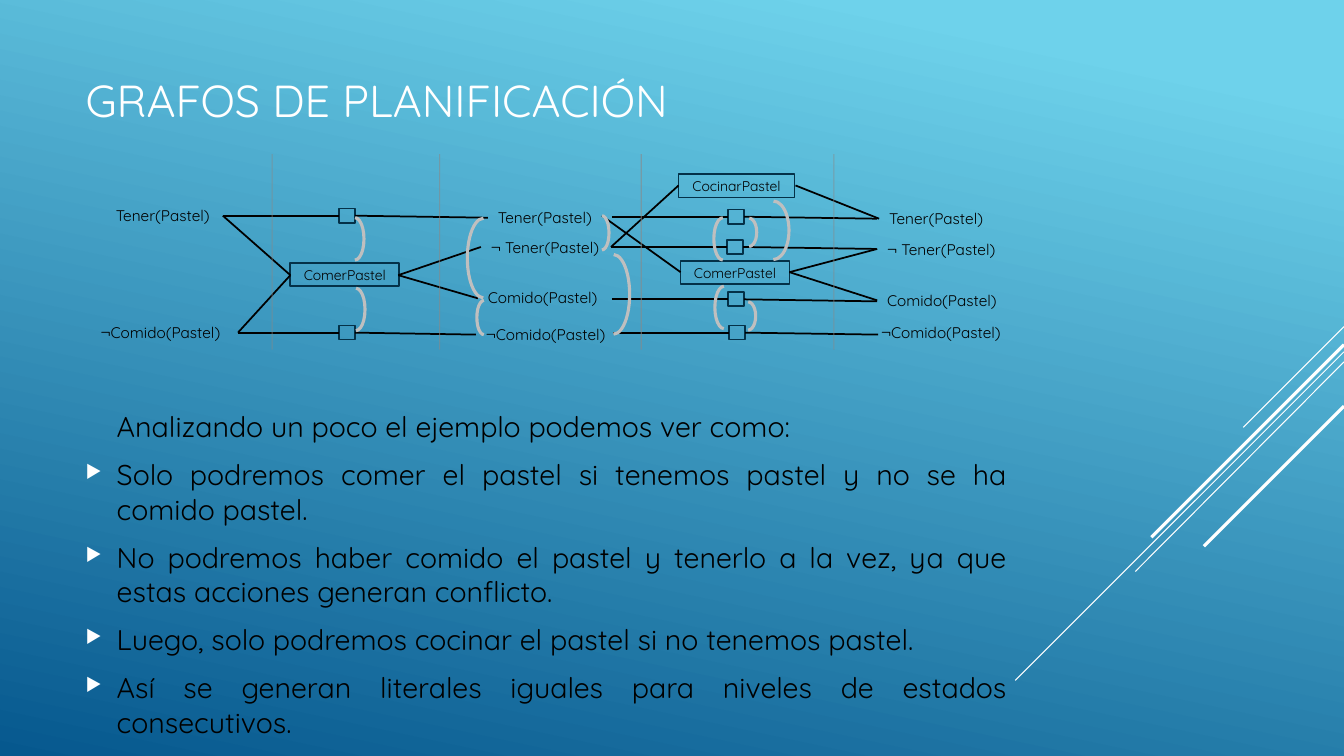
from dataclasses import dataclass

from lxml import etree
from pptx import Presentation
from pptx import util as u
from pptx.dml.color import RGBColor
from pptx.enum import shapes, text
from pptx.oxml import ns


@dataclass(frozen=True)
class Theme:
    font: str = "Quicksand"
    sky: str = "6ED2EB"
    ocean: str = "06588E"
    white: str = "FFFFFF"
    black: str = "000000"
    outline: str = "043148"
    bracket: str = "BFBFBF"
    divider: str = "898989"
    title_size: float = 32
    body_size: float = 20.4
    label_size: float = 11
    action_size: float = 10
    thin: float = 0.75
    medium: float = 1.25
    thick: float = 2.25


class PlanningSlide:
    columns = 13.33
    rows = 7.5

    def __init__(self, presentation, theme):
        self.theme = theme
        self.cell_width = presentation.slide_width / self.columns
        self.cell_height = presentation.slide_height / self.rows
        self.slide = presentation.slides.add_slide(presentation.slide_layouts[6])

    def across(self, count):
        return u.Emu(round(count * self.cell_width))

    def down(self, count):
        return u.Emu(round(count * self.cell_height))

    def area(self, left, top, width, height):
        return self.across(left), self.down(top), self.across(width), self.down(height)

    def background(self):
        fill = self.slide.background.fill
        fill.gradient()
        fill.gradient_angle = 258
        stops = ((0.1, self.theme.sky), (1, self.theme.ocean))
        for stop, (position, color) in zip(fill.gradient_stops, stops):
            stop.position = position
            stop.color.rgb = RGBColor.from_string(color)

    def run(self, paragraph, words, size, color):
        run = paragraph.add_run()
        run.text = words
        run.font.name = self.theme.font
        run.font.size = u.Pt(size)
        run.font.color.rgb = RGBColor.from_string(color)

    def title(self, words):
        frame = self.slide.shapes.add_textbox(*self.area(0.75, 0.16, 9.77, 1.65)).text_frame
        frame.word_wrap = True
        frame.vertical_anchor = text.MSO_ANCHOR.MIDDLE
        self.run(frame.paragraphs[0], words, self.theme.title_size, self.theme.white)

    def bullet(self, properties):
        color = etree.SubElement(properties, ns.qn("a:buClr"))
        etree.SubElement(color, ns.qn("a:srgbClr")).set("val", self.theme.white)
        etree.SubElement(properties, ns.qn("a:buSzPct")).set("val", "64000")
        etree.SubElement(properties, ns.qn("a:buChar")).set("char", "▶")

    def body(self, introduction, points):
        frame = self.slide.shapes.add_textbox(*self.area(0.75, 4.31, 9.33, 3.14)).text_frame
        frame.word_wrap = True
        frame.vertical_anchor = text.MSO_ANCHOR.BOTTOM
        frame.margin_bottom = self.down(0.12)
        for index, words in enumerate([introduction, *points]):
            paragraph = frame.add_paragraph() if index else frame.paragraphs[0]
            properties = paragraph._p.get_or_add_pPr()
            properties.set("marL", str(self.across(0.31)))
            if index:
                properties.set("indent", str(-self.across(0.31)))
                self.bullet(properties)
            paragraph.alignment = text.PP_ALIGN.JUSTIFY
            paragraph.line_spacing = u.Pt(24.6)
            paragraph.space_before = u.Pt(9.7 if index else 0)
            self.run(paragraph, words, self.theme.body_size, self.theme.black)

    def label(self, left, top, width, words):
        frame = self.slide.shapes.add_textbox(*self.area(left, top, width, 0.29)).text_frame
        frame.word_wrap = False
        frame.auto_size = text.MSO_AUTO_SIZE.SHAPE_TO_FIT_TEXT
        self.run(frame.paragraphs[0], words, self.theme.label_size, self.theme.black)

    def outline(self, kind, area, color, weight):
        shape = self.slide.shapes.add_shape(kind, *self.area(*area))
        shape.shadow.inherit = False
        shape.fill.background()
        shape.line.color.rgb = RGBColor.from_string(color)
        shape.line.width = u.Pt(weight)
        return shape

    def box(self, left, top, width, height):
        area = (left, top, width, height)
        return self.outline(shapes.MSO_SHAPE.RECTANGLE, area, self.theme.outline, self.theme.medium)

    def action(self, left, top, width, words):
        frame = self.box(left, top, width, 0.23).text_frame
        frame.word_wrap = False
        frame.vertical_anchor = text.MSO_ANCHOR.MIDDLE
        frame.margin_top = frame.margin_bottom = 0
        paragraph = frame.paragraphs[0]
        paragraph.alignment = text.PP_ALIGN.CENTER
        self.run(paragraph, words, self.theme.action_size, self.theme.black)

    def bracket(self, left, top, width, height, rotation):
        area = (left, top, width, height)
        arc = self.outline(shapes.MSO_SHAPE.ARC, area, self.theme.bracket, self.theme.thick)
        arc.adjustments[0] = 108.209
        arc.adjustments[1] = 0
        arc.rotation = rotation

    def line(self, start, end, color, weight, opacity=100):
        connector = self.slide.shapes.add_connector(
            shapes.MSO_CONNECTOR.STRAIGHT,
            self.across(start[0]), self.down(start[1]), self.across(end[0]), self.down(end[1]))
        connector.line.color.rgb = RGBColor.from_string(color)
        connector.line.width = u.Pt(weight)
        properties = connector._element.spPr
        etree.SubElement(properties, ns.qn("a:effectLst"))
        if opacity < 100:
            tint = properties.find(".//" + ns.qn("a:srgbClr"))
            etree.SubElement(tint, ns.qn("a:alpha")).set("val", str(opacity * 1000))

    def link(self, start, end):
        self.line(start, end, self.theme.black, self.theme.medium)

    def persistence(self, left, middle, start, end):
        self.box(left, middle - 0.07, 0.16, 0.14)
        self.link((start, middle), (left, middle))
        self.link((left + 0.16, middle), (end, middle + 0.02))


def main():
    presentation = Presentation()
    presentation.slide_width = u.Inches(13.33)
    presentation.slide_height = u.Inches(7.5)
    theme = Theme()
    page = PlanningSlide(presentation, theme)
    page.background()

    for top, left, bottom, weight in (
            (3.24, 12.33, 4.24, theme.thin), (3.49, 10.07, 6.75, theme.thin),
            (3.59, 11.26, 5.67, theme.thin), (3.42, 11.42, 5.33, theme.thick),
            (4.03, 11.94, 5.42, theme.thick)):
        page.line((13.33, top), (left, bottom), theme.white, weight)

    page.title("GRAFOS DE PLANIFICACIÓN")
    page.body("Analizando un poco el ejemplo podemos ver como:", (
        "Solo podremos comer el pastel si tenemos pastel y no se ha comido pastel.",
        "No podremos haber comido el pastel y tenerlo a la vez, ya que estas acciones generan conflicto.",
        "Luego, solo podremos cocinar el pastel si no tenemos pastel.",
        "Así se generan literales iguales para niveles de estados consecutivos."))

    for words, width, places in (
            ("Tener(Pastel)", 1.16, ((1.05, 2), (4.84, 2.02), (8.72, 2.03))),
            ("¬ Tener(Pastel)", 1.29, ((4.77, 2.31), (8.7, 2.33))),
            ("Comido(Pastel)", 1.37, ((4.74, 2.81), (8.7, 2.84))),
            ("¬Comido(Pastel)", 1.46, ((0.9, 3.16), (4.72, 3.18), (8.64, 3.16)))):
        for left, top in places:
            page.label(left, top, width, words)

    page.persistence(3.36, 2.14, 2.21, 4.84)
    page.persistence(3.36, 3.3, 2.36, 4.72)
    for left, middle in ((7.22, 2.15), (7.21, 2.45), (7.22, 2.97), (7.23, 3.3)):
        page.persistence(left, middle, left - 1.15, left + 1.48)

    page.action(2.88, 2.61, 1.08, "ComerPastel")
    page.action(6.75, 2.59, 1.08, "ComerPastel")
    page.action(6.73, 1.73, 1.15, "CocinarPastel")

    for entry, starts, departure, ends in (
            ((2.88, 2.73), ((2.21, 2.14), (2.36, 3.3)), (3.95, 2.73), ((4.77, 2.45), (4.74, 2.96))),
            ((6.75, 2.7), ((5.97, 2.14),), (7.83, 2.7), ((8.7, 2.47), (8.7, 2.98))),
            ((6.73, 1.84), ((6.06, 2.45),), (7.89, 1.84), ((8.72, 2.17),))):
        for start in starts:
            page.link(start, entry)
        for end in ends:
            page.link(departure, end)

    for rotation, width, height, places in (
            (270, 0.79, 0.32, ((4.4, 2.4),)),
            (270, 0.34, 0.14, ((4.63, 3.08),)),
            (270, 0.42, 0.18, ((6.96, 2.28), (6.97, 2.96))),
            (90, 0.42, 0.18, ((3.31, 2.28), (3.32, 2.98))),
            (90, 0.79, 0.32, ((5.69, 2.76),)),
            (90, 0.34, 0.14, ((5.8, 2.24),)),
            (90, 0.58, 0.31, ((7.38, 2.13),)),
            (90, 0.28, 0.15, ((7.29, 2.23), (7.28, 3.06)))):
        for left, top in places:
            page.bracket(left, top, width, height, rotation)

    for divider in (2.7, 4.36, 6.36, 8.27):
        page.line((divider, 1.53), (divider, 3.47), theme.divider, theme.thin, opacity=60)

    presentation.save("out.pptx")


if __name__ == "__main__":
    main()
